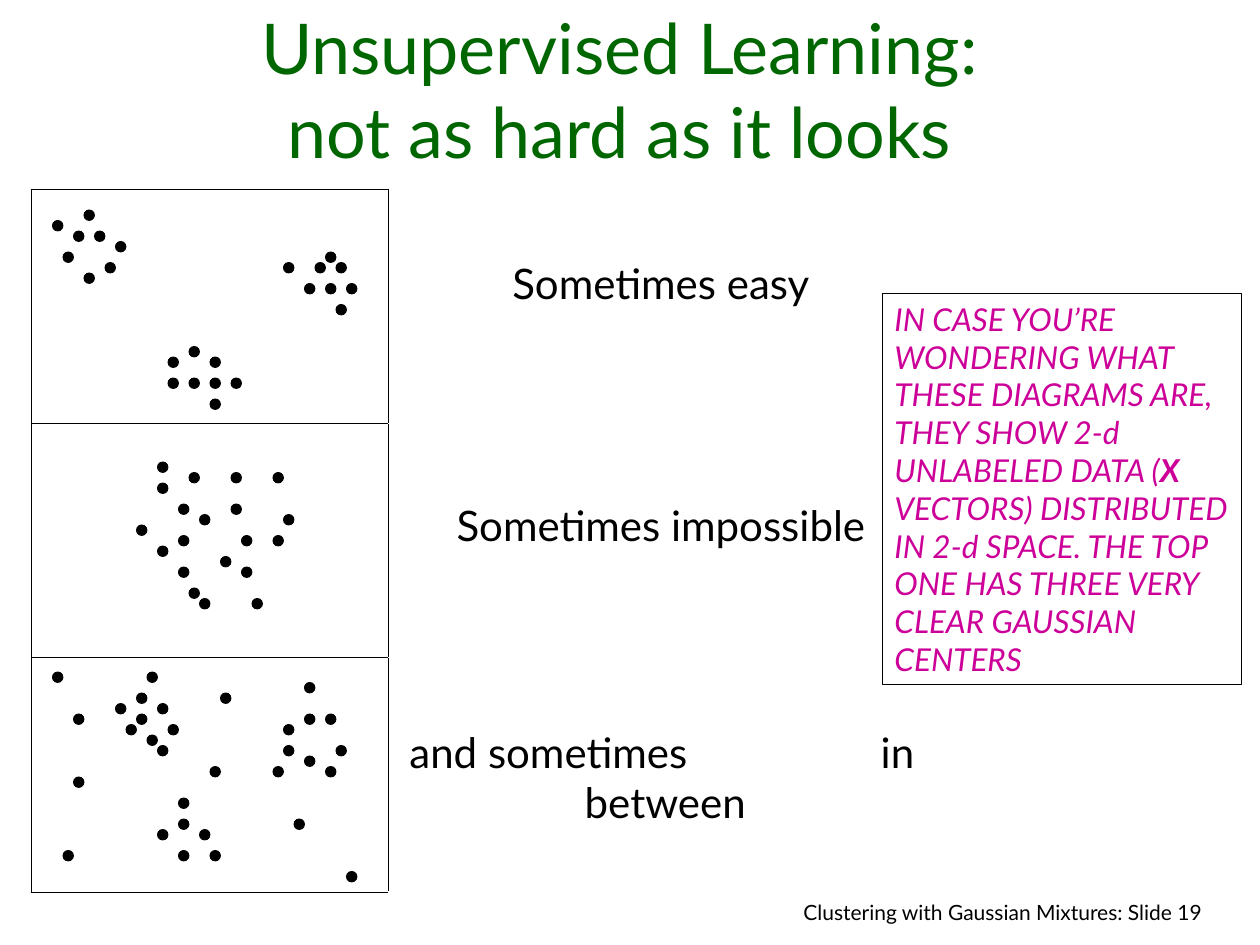
from dataclasses import dataclass

import pptx
import pptx.dml.color
import pptx.enum.shapes
import pptx.enum.text
import pptx.oxml
import pptx.oxml.ns
import pptx.util
from pptx.util import Inches, Pt

RGBColor = pptx.dml.color.RGBColor
Align = pptx.enum.text.PP_ALIGN
Anchor = pptx.enum.text.MSO_ANCHOR

BLACK = RGBColor(0x00, 0x00, 0x00)
GREEN = RGBColor(0x00, 0x66, 0x00)
MAGENTA = RGBColor(0xCC, 0x00, 0x99)
FONT = "Lato"
DOT_GRID = Inches(1) / 12  # dots sit on a grid of twelfths of an inch


@dataclass(frozen=True)
class Example:
    """One table row: its caption and the grid places (column, row) of its dots."""
    caption: str
    text_top: float
    dots: tuple[tuple[int, int], ...]


EASY = Example("Sometimes easy", 0.55, (
    # upper left cluster
    (5, 21), (8, 20), (7, 22), (9, 22), (11, 23), (6, 24), (10, 25), (8, 26),
    # right cluster
    (31, 24), (27, 25), (30, 25), (32, 25), (29, 27), (31, 27), (33, 27), (32, 29),
    # lower cluster
    (18, 33), (16, 34), (20, 34), (16, 36), (18, 36), (20, 36), (22, 36), (20, 38),
))
IMPOSSIBLE = Example("Sometimes impossible", 0.61, (
    (15, 44), (18, 45), (22, 45), (26, 45), (15, 46), (17, 48), (22, 48),
    (19, 49), (27, 49), (13, 50), (17, 51), (23, 51), (26, 51), (15, 52),
    (21, 53), (17, 54), (23, 54), (18, 56), (19, 57), (24, 57),
))
IN_BETWEEN = Example("and sometimes\tin\nbetween", 0.55, (
    # upper left cluster
    (14, 64), (13, 66), (11, 67), (15, 67), (13, 68), (12, 69), (16, 69),
    (14, 70), (15, 71),
    # right cluster
    (29, 65), (29, 68), (31, 68), (27, 69), (27, 71), (32, 71), (29, 72),
    (26, 73), (31, 73),
    # lower cluster
    (17, 76), (17, 78), (15, 79), (19, 79), (17, 81), (20, 81),
    # scattered
    (5, 64), (21, 66), (7, 68), (20, 73), (7, 74), (28, 78), (6, 81), (33, 83),
))
EXAMPLES = (EASY, IMPOSSIBLE, IN_BETWEEN)


def style(paragraph, size: float, color: RGBColor, align: Align) -> None:
    paragraph.alignment = align
    paragraph.font.name = FONT
    paragraph.font.size = Pt(size)
    paragraph.font.color.rgb = color


def add_borders(cell, sides: str) -> None:
    """Draw thin black lines on the given sides, in the order L, R, T, B."""
    properties = cell._tc.get_or_add_tcPr()
    for position, side in enumerate(sides):
        properties.insert(position, pptx.oxml.parse_xml(
            f'<a:ln{side} {pptx.oxml.ns.nsdecls("a")} w="{Pt(0.45)}">'
            f'<a:solidFill><a:srgbClr val="{BLACK}"/></a:solidFill></a:ln{side}>'))


def align_at_tab(paragraph, position: float) -> None:
    paragraph.alignment = Align.LEFT
    paragraph._p.get_or_add_pPr().insert(0, pptx.oxml.parse_xml(
        f'<a:tabLst {pptx.oxml.ns.nsdecls("a")}>'
        f'<a:tab pos="{Inches(position)}" algn="l"/></a:tabLst>'))


def add_examples_table(slide) -> None:
    table = slide.shapes.add_table(
        len(EXAMPLES), 2, Inches(0.25), Inches(1.5), Inches(7.17), Inches(5.58)).table
    table.first_row = table.horz_banding = False
    table.columns[0].width, table.columns[1].width = Inches(2.83), Inches(4.33)
    for row, example in enumerate(EXAMPLES):
        diagram, caption = table.cell(row, 0), table.cell(row, 1)
        for cell, sides in ((diagram, "LRTB"), (caption, "L")):
            cell.fill.background()
            add_borders(cell, sides)
        caption.margin_top = Inches(example.text_top)
        caption.text_frame.text = example.caption
        for paragraph in caption.text_frame.paragraphs:
            style(paragraph, 24, BLACK, Align.CENTER)
            if "\t" in paragraph.text:
                caption.margin_left = Inches(0.17)
                align_at_tab(paragraph, 3.74)


def add_dot(slide, column: int, row: int) -> None:
    dot = slide.shapes.add_shape(
        pptx.enum.shapes.MSO_SHAPE.OVAL,
        round(column * DOT_GRID), round(row * DOT_GRID), round(DOT_GRID), round(DOT_GRID))
    dot.shadow.inherit = False
    dot.fill.solid()
    dot.fill.fore_color.rgb = BLACK
    dot.line.color.rgb = BLACK
    dot.line.width = Pt(0.5)


def add_title(slide) -> None:
    title = slide.shapes.title
    title.left, title.top = Inches(0.25), Inches(0.25)
    title.width, title.height = Inches(9.33), Inches(1.17)
    frame = title.text_frame
    frame.text = "Unsupervised Learning:\vnot as hard as it looks"
    frame.vertical_anchor = Anchor.BOTTOM
    frame.auto_size = pptx.enum.text.MSO_AUTO_SIZE.NONE
    style(frame.paragraphs[0], 40, GREEN, Align.CENTER)


def add_explanation(slide) -> None:
    explanation = slide.shapes.add_shape(
        pptx.enum.shapes.MSO_SHAPE.RECTANGLE,
        Inches(7), Inches(2.33), Inches(2.85), Inches(3.1))
    explanation.shadow.inherit = False
    explanation.fill.background()
    explanation.line.color.rgb = BLACK
    explanation.line.width = Pt(0.25)
    frame = explanation.text_frame
    frame.word_wrap = True
    frame.vertical_anchor = Anchor.TOP
    paragraph = frame.paragraphs[0]
    style(paragraph, 18, MAGENTA, Align.LEFT)
    paragraph.font.italic = True
    for words, bold in (
        ("IN CASE YOU’RE WONDERING WHAT THESE DIAGRAMS ARE, "
         "THEY SHOW 2-d UNLABELED DATA (", False),
        ("X", True),
        (" VECTORS) DISTRIBUTED IN 2-d SPACE. THE TOP ONE HAS "
         "THREE VERY CLEAR GAUSSIAN CENTERS", False),
    ):
        run = paragraph.add_run()
        run.text = words
        run.font.bold = bold


def add_footer(slide) -> None:
    footer = slide.shapes.add_textbox(
        Inches(5.72), Inches(7.09), Inches(3.92), Inches(0.33)).text_frame
    footer.word_wrap = True
    footer.text = "Clustering with Gaussian Mixtures: Slide 19"
    style(footer.paragraphs[0], 12, BLACK, Align.RIGHT)


def main() -> None:
    deck = pptx.Presentation()
    deck.slide_width, deck.slide_height = Inches(10), Inches(7.5)
    slide = deck.slides.add_slide(deck.slide_layouts.get_by_name("Title Only"))
    add_footer(slide)
    add_title(slide)
    add_examples_table(slide)
    for example in EXAMPLES:
        for column, row in example.dots:
            add_dot(slide, column, row)
    add_explanation(slide)
    deck.save("out.pptx")


if __name__ == "__main__":
    main()
